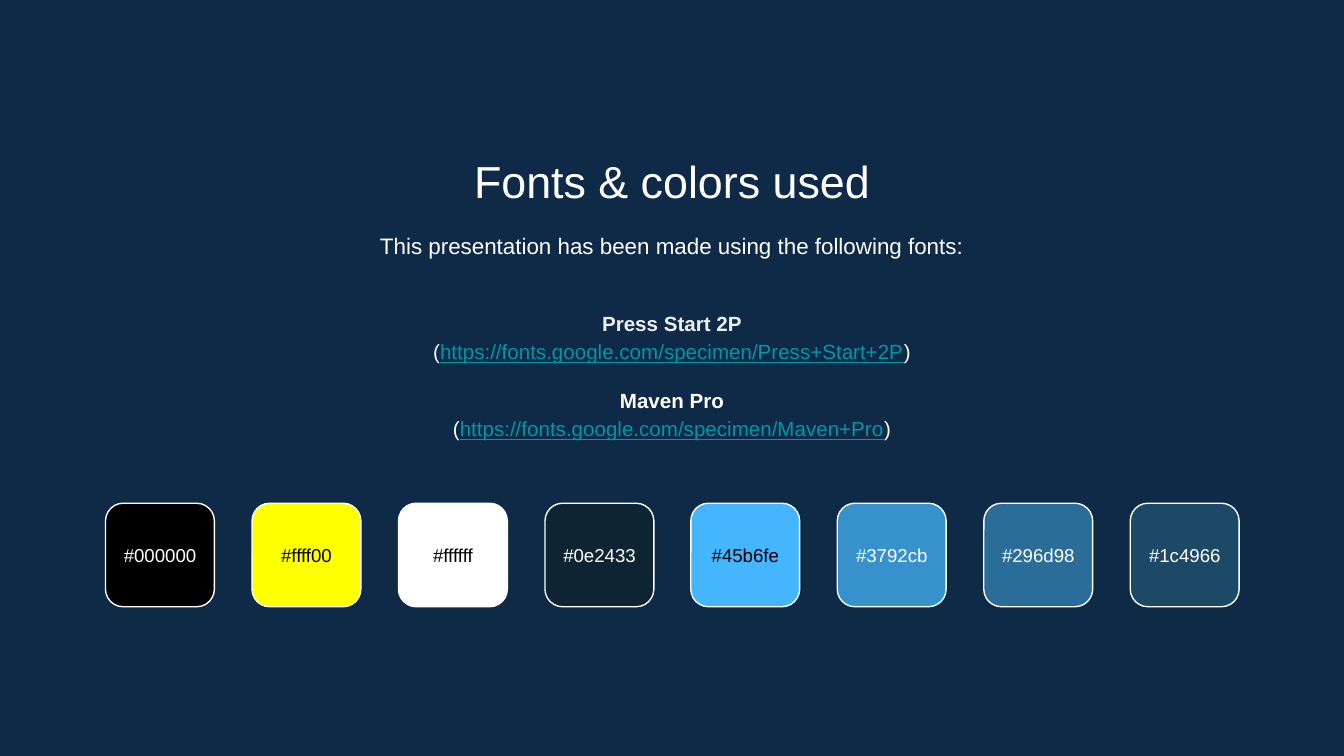
import pptx
import pptx.util
import pptx.dml.color
import pptx.enum.shapes
import pptx.enum.text

PX = 4572  # EMU per px, 200 px to the inch
FONT = "Arial"
COLORS = {
    "background": "0E2A47",
    "white": "FFFFFF",
    "black": "000000",
    "name": "EFEFEF",
    "link": "0097A7",
}
FONTS_USED = [
    ("Press Start 2P", "name", "https://fonts.google.com/specimen/Press+Start+2P"),
    ("Maven Pro", "white", "https://fonts.google.com/specimen/Maven+Pro"),
]
# Swatch code and the colour of its label
SWATCHES = [
    ("#000000", "white"),
    ("#ffff00", "black"),
    ("#ffffff", "black"),
    ("#0e2433", "white"),
    ("#45b6fe", "black"),
    ("#3792cb", "white"),
    ("#296d98", "white"),
    ("#1c4966", "white"),
]


def px(n):
    return pptx.util.Emu(n * PX)


def rgb(code):
    return pptx.dml.color.RGBColor.from_string(code.lstrip("#").upper())


def add_box(s, x, y, w, h, middle=False):
    tb = s.shapes.add_textbox(px(x), px(y), px(w), px(h))
    tf = tb.text_frame
    tf.word_wrap = True
    tf.margin_left = tf.margin_right = tf.margin_top = tf.margin_bottom = px(20)
    anchor = pptx.enum.text.MSO_ANCHOR
    tf.vertical_anchor = anchor.MIDDLE if middle else anchor.TOP
    return tf


def add_line(tf, runs, size, spacing=None, before=0):
    """Add a centred paragraph; runs are (text, colour, bold, underline)."""
    first = tf.paragraphs[0]
    p = tf.add_paragraph() if first.runs else first
    p.alignment = pptx.enum.text.PP_ALIGN.CENTER
    if spacing:
        p.line_spacing = spacing
    if before:
        p.space_before = pptx.util.Pt(before)
    for text, color, bold, underline in runs:
        r = p.add_run()
        r.text = text
        r.font.name = FONT
        r.font.size = pptx.util.Pt(size)
        r.font.bold = bold
        r.font.underline = underline
        r.font.color.rgb = rgb(COLORS[color])


def add_heading(s, x, y, w):
    # Title
    tf = add_box(s, x, y, w, 106)
    add_line(tf, [("Fonts & colors used", "white", False, False)], 24)
    # Introduction
    tf = add_box(s, x, y + 110, w, 96)
    intro = "This presentation has been made using the following fonts:"
    add_line(tf, [(intro, "white", False, False)], 12, 1.15)


def add_font_list(s, x, y, w, h):
    tf = add_box(s, x, y, w, h, middle=True)
    for i, (name, color, url) in enumerate(FONTS_USED):
        add_line(tf, [(name, color, True, False)], 11, 1.15, before=11 if i else 0)
        link = [
            ("(", "white", False, False),
            (url, "link", False, True),
            (")", "white", False, False),
        ]
        add_line(tf, link, 11, 1.15)


def add_swatches(s, x, y, w, h, size):
    step = (w - size) / (len(SWATCHES) - 1)
    for i, (code, label_color) in enumerate(SWATCHES):
        left = round(x + i * step)
        # Colour tile
        sp = s.shapes.add_shape(
            pptx.enum.shapes.MSO_SHAPE.ROUNDED_RECTANGLE,
            px(left), px(y), px(size), px(h))
        sp.adjustments[0] = 0.17
        sp.shadow.inherit = False
        sp.fill.solid()
        sp.fill.fore_color.rgb = rgb(code)
        sp.line.color.rgb = rgb(COLORS["white"])
        sp.line.width = pptx.util.Pt(0.75)
        # Colour code
        tf = add_box(s, left, y + 32, size, h - 64, middle=True)
        add_line(tf, [(code, label_color, False, False)], 10)


def main():
    prs = pptx.Presentation()
    prs.slide_width, prs.slide_height = px(2000), px(1125)
    s = prs.slides.add_slide(prs.slide_layouts[6])
    s.background.fill.solid()
    s.background.fill.fore_color.rgb = rgb(COLORS["background"])

    add_heading(s, 229, 209, 1542)
    add_font_list(s, 229, 420, 1542, 274)
    add_swatches(s, 157, 749, 1687, 154, 162)
    prs.save("out.pptx")


if __name__ == "__main__":
    main()
